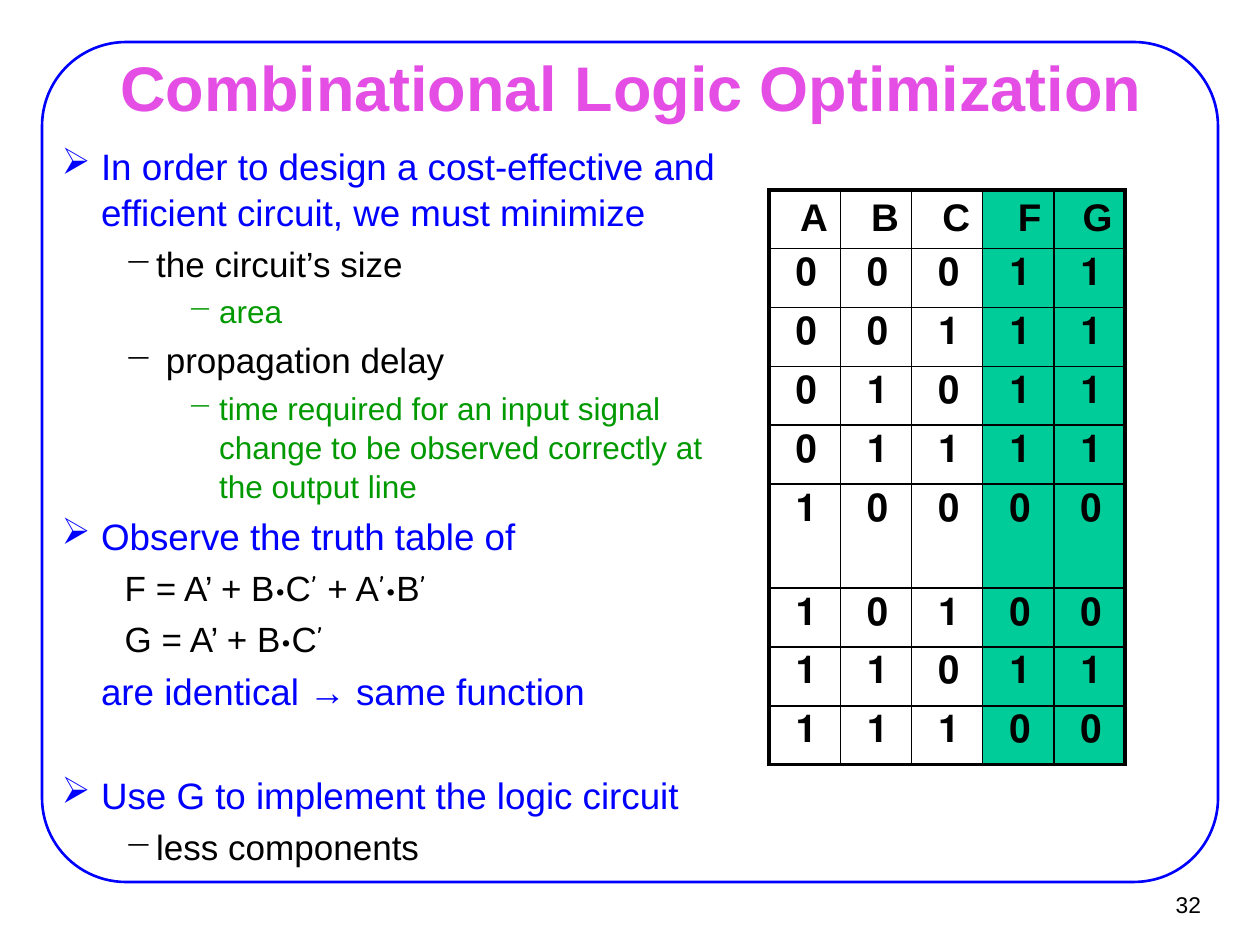
import pptx
import pptx.util
import pptx.dml.color
import pptx.enum.shapes
import pptx.enum.text
import pptx.oxml.ns
import lxml.etree

Pt = pptx.util.Pt
ALIGN = pptx.enum.text.PP_ALIGN
MIDDLE = pptx.enum.text.MSO_ANCHOR.MIDDLE
qn = pptx.oxml.ns.qn
COLORS = {
    "frame": "0000FF", "title": "E44EE4", "main": "0000FF", "sub": "000000",
    "detail": "009900", "text": "000000", "input": "FFFFFF", "output": "00CC99",
}


def color(name):
    return pptx.dml.color.RGBColor.from_string(COLORS[name])


def add_run(paragraph, text, size, color_name, font="Arial", bold=False):
    run = paragraph.add_run()
    run.text = text
    run.font.size = Pt(size)
    run.font.name = font
    run.font.bold = bold
    run.font.color.rgb = color(color_name)


deck = pptx.Presentation()
deck.slide_width, deck.slide_height = Pt(720), Pt(540)
slide = deck.slides.add_slide(deck.slide_layouts[5])

title = slide.shapes.title
title.left, title.top, title.width, title.height = Pt(54.72), Pt(31.68), Pt(612), Pt(35.28)
title.text_frame.word_wrap = True
title.text_frame.vertical_anchor = MIDDLE
heading = title.text_frame.paragraphs[0]
heading.alignment = ALIGN.CENTER
add_run(heading, "Combinational Logic Optimization", 36, "title", bold=True)

frame = slide.shapes.add_shape(
    pptx.enum.shapes.MSO_SHAPE.ROUNDED_RECTANGLE, Pt(24), Pt(24), Pt(672), Pt(480))
frame.adjustments[0] = 0.1
frame.shadow.inherit = False
frame.fill.background()
frame.line.color.rgb = color("frame")
frame.line.width = Pt(1.5)

page_number = slide.shapes.add_textbox(Pt(649.44), Pt(503.28), Pt(43.92), Pt(26.64))
page_number.text_frame.word_wrap = False
page_number.text_frame.vertical_anchor = MIDDLE
page_line = page_number.text_frame.paragraphs[0]
page_line.alignment = ALIGN.RIGHT
add_run(page_line, "32", 13, "text")

LEVELS = {
    "main": (21, 58.5, -22.5, "➢"),
    "main plain": (21, 58.5, 0, None),
    "sub": (20, 90, -18, "−"),
    "sub plain": (20, 72, 0, None),
    "detail": (18, 126, -18, "−"),
}
OUTLINE = [
    ("main", ["In order to design a cost-effective and efficient circuit, we must minimize"]),
    ("sub", ["the circuit’s size"]),
    ("detail", ["area"]),
    ("sub", [" propagation delay"]),
    ("detail", ["time required for an input signal change to be observed correctly at the output line"]),
    ("main", ["Observe the truth table of"]),
    ("sub plain", ["F = A’ + B", "•", "C", "’", " + A", "’•", "B", "’"]),
    ("sub plain", ["G = A’ + B", "•", "C", "’"]),
    ("main plain", ["are identical → same function"]),
    ("main", ["Use G to implement the logic circuit"]),
    ("sub", ["less components"]),
]
outline = slide.shapes.add_textbox(Pt(-8.64), Pt(77.04), Pt(442.08), Pt(356.4)).text_frame
outline.word_wrap = True
outline.margin_left = outline.margin_right = Pt(7.92)
outline.margin_top = outline.margin_bottom = Pt(4.32)
for index, (level, parts) in enumerate(OUTLINE):
    point = outline.add_paragraph() if index else outline.paragraphs[0]
    size, margin, indent, bullet = LEVELS[level]
    properties = point._p.get_or_add_pPr()
    properties.set("marL", str(Pt(margin)))
    properties.set("indent", str(Pt(indent)))
    if bullet:
        lxml.etree.SubElement(properties, qn("a:buChar")).set("char", bullet)
    else:
        lxml.etree.SubElement(properties, qn("a:buNone"))
    point.line_spacing = 1.04
    if index:
        point.space_before = Pt(33.5 if parts[0].startswith("Use G") else size * 0.2)
    for order, part in enumerate(parts):
        add_run(point, part, size, level.split()[0], "Comic Neue" if order % 2 else "Arial")

TRUTH_ROWS = ["ABCFG", "00011", "00111", "01011", "01111", "10000", "10100", "11011", "11100"]
TALL_ROW = 5
last_row, last_column = len(TRUTH_ROWS) - 1, len(TRUTH_ROWS[0]) - 1
truth_table = slide.shapes.add_table(
    last_row + 1, last_column + 1, Pt(439.5), Pt(108.5), Pt(203.5), Pt(323.5)).table
truth_table.first_row = False
truth_table.horz_banding = False
for column in truth_table.columns:
    column.width = Pt(40.7)
for r, values in enumerate(TRUTH_ROWS):
    truth_table.rows[r].height = Pt(59.5 if r == TALL_ROW else 33)
    for c, value in enumerate(values):
        cell = truth_table.cell(r, c)
        entry = cell.text_frame.paragraphs[0]
        entry.alignment = ALIGN.RIGHT
        entry._p.get_or_add_pPr().set("rtl", "1")
        add_run(entry, value if r == 0 else " " + value, 22, "text", bold=True)
        cell_properties = cell._tc.get_or_add_tcPr()
        outer_sides = {"L": c == 0, "R": c == last_column, "T": r == 0, "B": r == last_row}
        for side, outer in outer_sides.items():
            border = lxml.etree.SubElement(cell_properties, qn("a:ln" + side))
            border.set("w", str(Pt(2.25 if outer else 1)))
            border_fill = lxml.etree.SubElement(border, qn("a:solidFill"))
            lxml.etree.SubElement(border_fill, qn("a:srgbClr")).set("val", COLORS["text"])
        cell.fill.solid()
        cell.fill.fore_color.rgb = color("output" if c >= 3 else "input")

deck.save("out.pptx")
